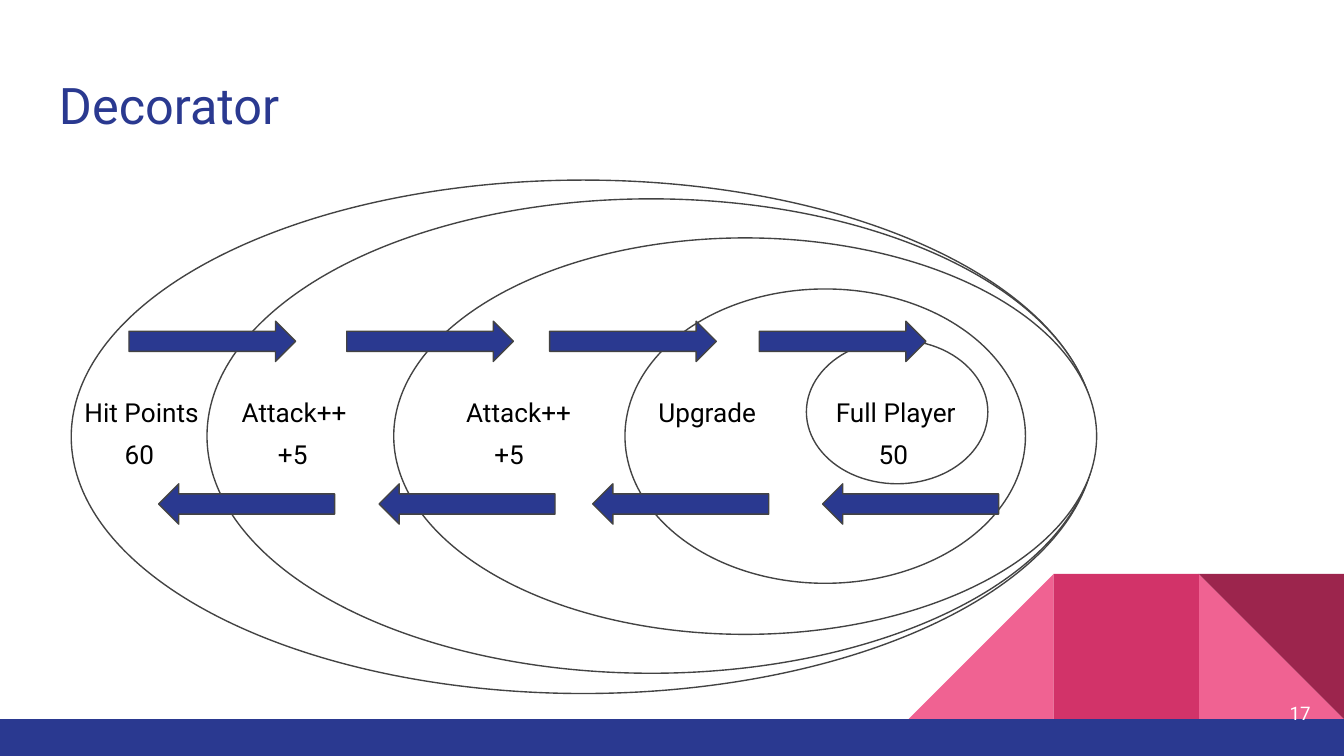
from dataclasses import dataclass

from pptx import Presentation
from pptx.dml.color import RGBColor
from pptx.enum.shapes import MSO_SHAPE
from pptx.enum.text import MSO_ANCHOR, PP_ALIGN
from pptx.util import Pt

OVAL, RECT = MSO_SHAPE.OVAL, MSO_SHAPE.RECTANGLE
TRIANGLE, ARROW = MSO_SHAPE.RIGHT_TRIANGLE, MSO_SHAPE.RIGHT_ARROW
TOP, MIDDLE = MSO_ANCHOR.TOP, MSO_ANCHOR.MIDDLE
LEFT, RIGHT = PP_ALIGN.LEFT, PP_ALIGN.RIGHT

PX = 9144  # 100 px to the inch
WIDTH = 1000
FONT = "Roboto"
COLORS = {
    "white": "FFFFFF", "black": "000000", "gray": "434343", "blue": "2A3990",
    "pink": "F06292", "rose": "D23369", "wine": "9C254D",
}


@dataclass
class Box:
    left: int
    top: int
    width: int
    height: int


@dataclass
class Form:
    kind: MSO_SHAPE
    box: Box
    fill: str
    line: str = ""
    turn: int = 0


@dataclass
class Label:
    text: str
    box: Box
    size: int = 14
    color: str = "black"
    align: PP_ALIGN = LEFT
    anchor: MSO_ANCHOR = TOP


def emu(box: Box) -> list[int]:
    return [n * PX for n in (box.left, box.top, box.width, box.height)]


def tint(name: str) -> RGBColor:
    return RGBColor.from_string(COLORS[name])


def draw(slide, form: Form) -> None:
    shape = slide.shapes.add_shape(form.kind, *emu(form.box))
    shape.shadow.inherit = False
    shape.rotation = form.turn
    shape.fill.solid()
    shape.fill.fore_color.rgb = tint(form.fill)
    if form.line:
        shape.line.color.rgb = tint(form.line)
        shape.line.width = Pt(0.75)
    else:
        shape.line.fill.background()


def write(slide, label: Label) -> None:
    frame = slide.shapes.add_textbox(*emu(label.box)).text_frame
    frame.word_wrap = True
    frame.vertical_anchor = label.anchor
    frame.margin_left = frame.margin_right = 10 * PX
    frame.margin_top = frame.margin_bottom = 10 * PX
    para = frame.paragraphs[0]
    para.alignment = label.align
    run = para.add_run()
    run.text = label.text
    run.font.name = FONT
    run.font.size = Pt(label.size)
    run.font.color.rgb = tint(label.color)


# Corner tiles and bottom bar
TILE, ROOF = 108, 427
tiles = [Box(WIDTH - n * TILE, ROOF, TILE, TILE) for n in (1, 2, 3)]
decor = [
    Form(TRIANGLE, tiles[0], "pink"),
    Form(TRIANGLE, tiles[2], "pink", turn=270),
    Form(RECT, tiles[1], "rose"),
    Form(TRIANGLE, tiles[0], "wine", turn=180),
    Form(RECT, Box(0, ROOF + TILE, WIDTH, 28), "blue"),
]

# Nested wrappers, from the outside in
rings = [
    Form(OVAL, box, "white", "gray")
    for box in (
        Box(53, 134, 762, 382), Box(154, 148, 661, 353),
        Box(293, 177, 523, 295), Box(465, 215, 298, 219),
        Box(600, 253, 135, 107),
    )
]

# Calls going in above, results coming back below
calls = [Form(ARROW, Box(x, 239, 124, 30), "blue", "gray")
         for x in (96, 258, 409, 565)]
backs = [Form(ARROW, Box(x, 360, 131, 30), "blue", "gray", 180)
         for x in (118, 282, 441, 612)]

# Wording
names = [
    Label(text, Box(x, 285, width, 44))
    for text, x, width in (
        ("Hit Points", 53, 107), ("Attack++", 170, 112),
        ("Attack++", 337, 112), ("Upgrade", 480, 112),
        ("Full Player", 612, 112),
    )
]
points = [Label(text, Box(x, 316, 47, 44))
          for text, x in (("60", 83), ("+5", 197), ("+5", 358), ("50", 644))]
title = Label("Decorator", Box(34, 45, 932, 66), 27, "blue")
number = Label("17", Box(925, 509, 60, 43), 10, "white", RIGHT, MIDDLE)


def main() -> None:
    deck = Presentation()
    deck.slide_width = WIDTH * PX
    deck.slide_height = WIDTH * PX * 9 // 16
    slide = deck.slides.add_slide(deck.slide_layouts[6])
    for form in decor + rings + backs + calls:
        draw(slide, form)
    for label in [title, number] + names + points:
        write(slide, label)
    deck.save("out.pptx")


if __name__ == "__main__":
    main()
